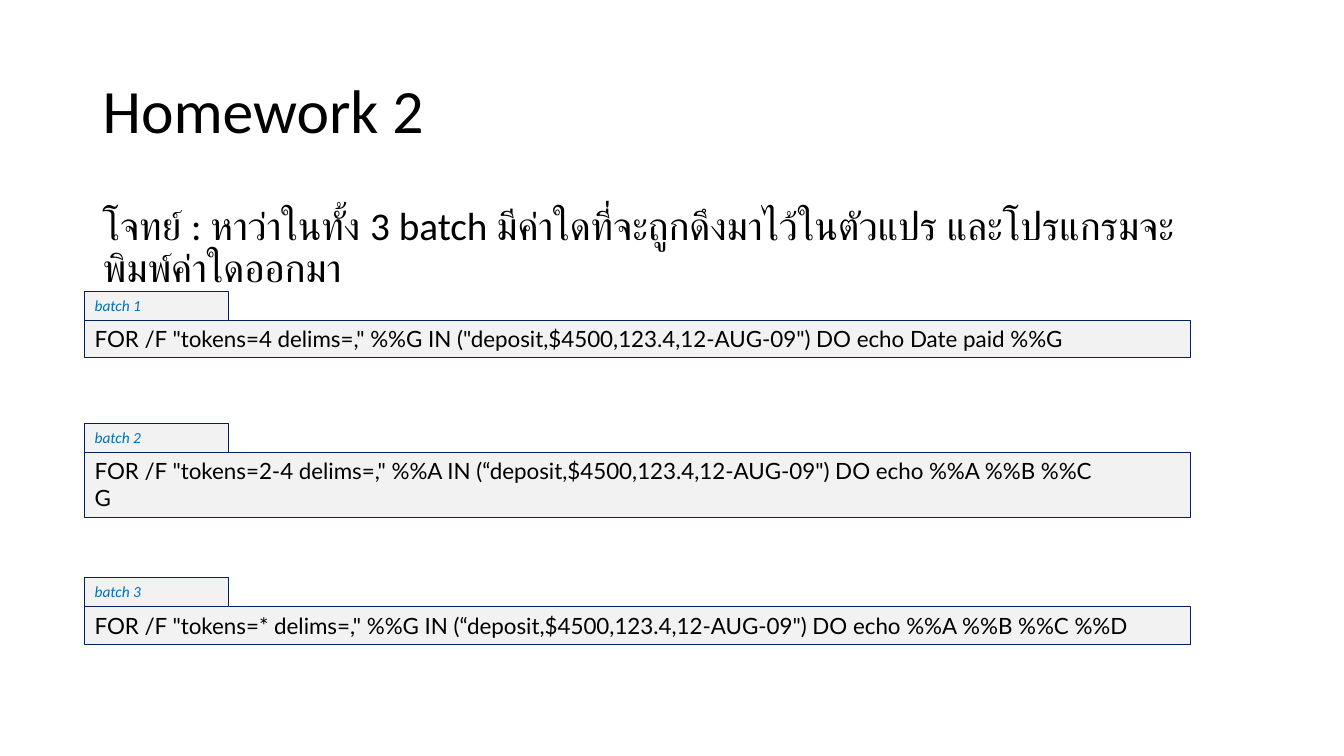
from pptx import Presentation as Deck
from pptx.dml.color import RGBColor as RGB
from pptx.enum.shapes import MSO_SHAPE as Shape
from pptx.enum.text import MSO_ANCHOR as Anchor, MSO_AUTO_SIZE as Fit, PP_ALIGN as Align
from pptx.util import Inches, Pt

HEX = {"text": "000000", "tag": "0070C0", "fill": "F2F2F2", "line": "002060"}

# Font formats
TITLE = {"name": "Calibri", "size": Pt(44)}
TASK = {"name": "Calibri", "size": Pt(28)}
CODE = {"name": "Lato", "size": Pt(16)}
TAG = {"name": "Calibri", "size": Pt(11), "italic": True}

# Batch panels: top of the code box, its height, code lines
LEFT, WIDE = 0.84, 10.97
TAG_W, TAG_H = 1.43, 0.29
PANELS = [
    (3.18, 0.37, ['FOR /F "tokens=4 delims=," %%G IN ("deposit,$4500,123.4,12-AUG-09") DO echo Date paid %%G']),
    (4.49, 0.64, ['FOR /F "tokens=2-4 delims=," %%A IN (“deposit,$4500,123.4,12-AUG-09") DO echo %%A %%B %%C', "G"]),
    (6.02, 0.37, ['FOR /F "tokens=* delims=," %%G IN (“deposit,$4500,123.4,12-AUG-09") DO echo %%A %%B %%C %%D']),
]


def color(key):
    return RGB.from_string(HEX[key])


def write(frame, lines, style, tint="text", anchor=Anchor.TOP, space=1.0):
    frame.word_wrap = True
    frame.vertical_anchor = anchor
    for i, line in enumerate(lines):
        para = frame.add_paragraph() if i else frame.paragraphs[0]
        para.alignment = Align.LEFT
        para.line_spacing = space
        run = para.add_run()
        run.text = line
        for key, value in style.items():
            setattr(run.font, key, value)
        run.font.color.rgb = color(tint)


def label(slide, place, text, style, anchor):
    box = slide.shapes.add_textbox(*map(Inches, place))
    write(box.text_frame, [text], style, anchor=anchor, space=0.9)


def block(group, place, lines, style, tint):
    rect = group.shapes.add_shape(Shape.RECTANGLE, *map(Inches, place))
    rect.shadow.inherit = False
    rect.fill.solid()
    rect.fill.fore_color.rgb = color("fill")
    rect.line.color.rgb = color("line")
    rect.line.width = Pt(0.75)
    write(rect.text_frame, lines, style, tint)
    rect.text_frame.auto_size = Fit.SHAPE_TO_FIT_TEXT


def panel(slide, num, top, high, lines):
    group = slide.shapes.add_group_shape()
    block(group, (LEFT, top, WIDE, high), lines, CODE, "text")
    block(group, (LEFT, top - TAG_H, TAG_W, TAG_H), [f"batch {num}"], TAG, "tag")


def main():
    deck = Deck()
    deck.slide_width, deck.slide_height = Inches(13.33), Inches(7.5)
    slide = deck.slides.add_slide(deck.slide_layouts[6])

    # Heading and task
    label(slide, (0.92, 0.4, 11.5, 1.45), "Homework 2", TITLE, Anchor.MIDDLE)
    label(slide, (0.92, 2, 11.5, 4.76),
          "โจทย์ : หาว่าในทั้ง 3 batch มีค่าใดที่จะถูกดึงมาไว้ในตัวแปร และโปรแกรมจะพิมพ์ค่าใดออกมา",
          TASK, Anchor.TOP)

    # Batch panels
    for num, (top, high, lines) in enumerate(PANELS, 1):
        panel(slide, num, top, high, lines)

    deck.save("out.pptx")


if __name__ == "__main__":
    main()
